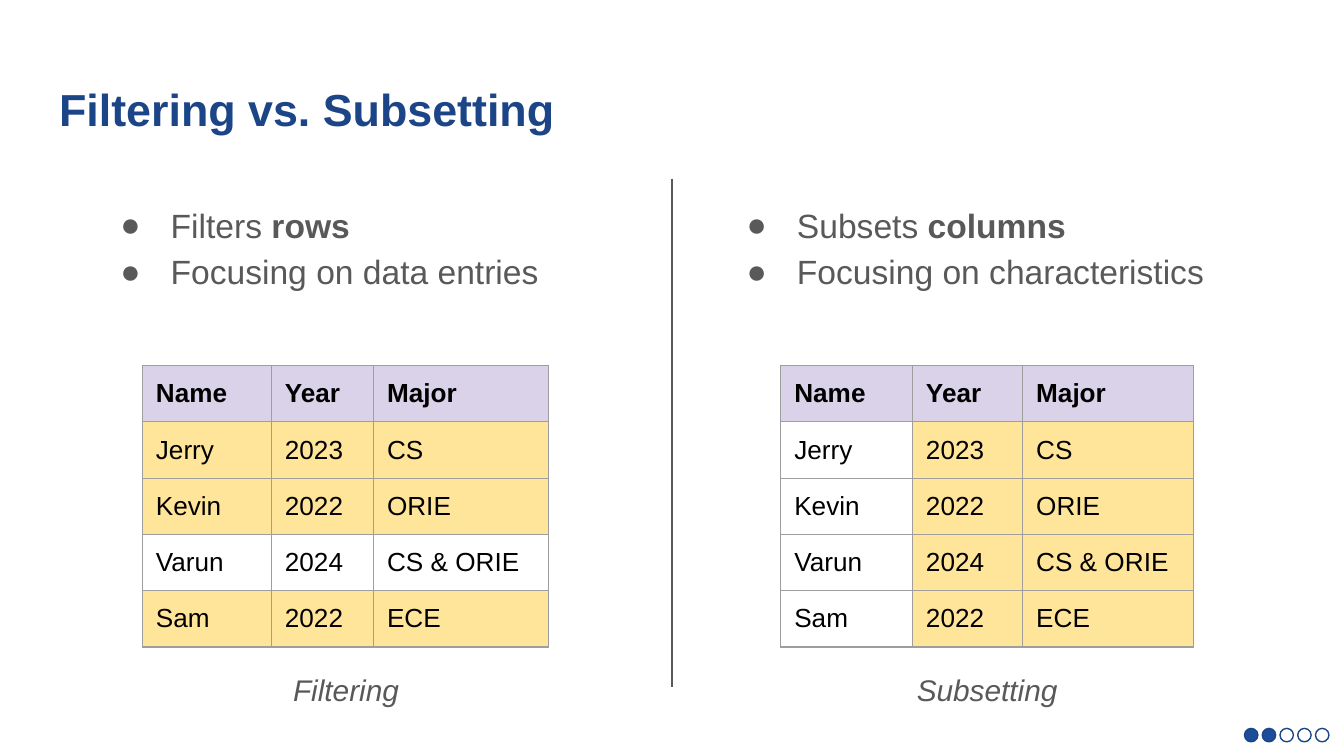
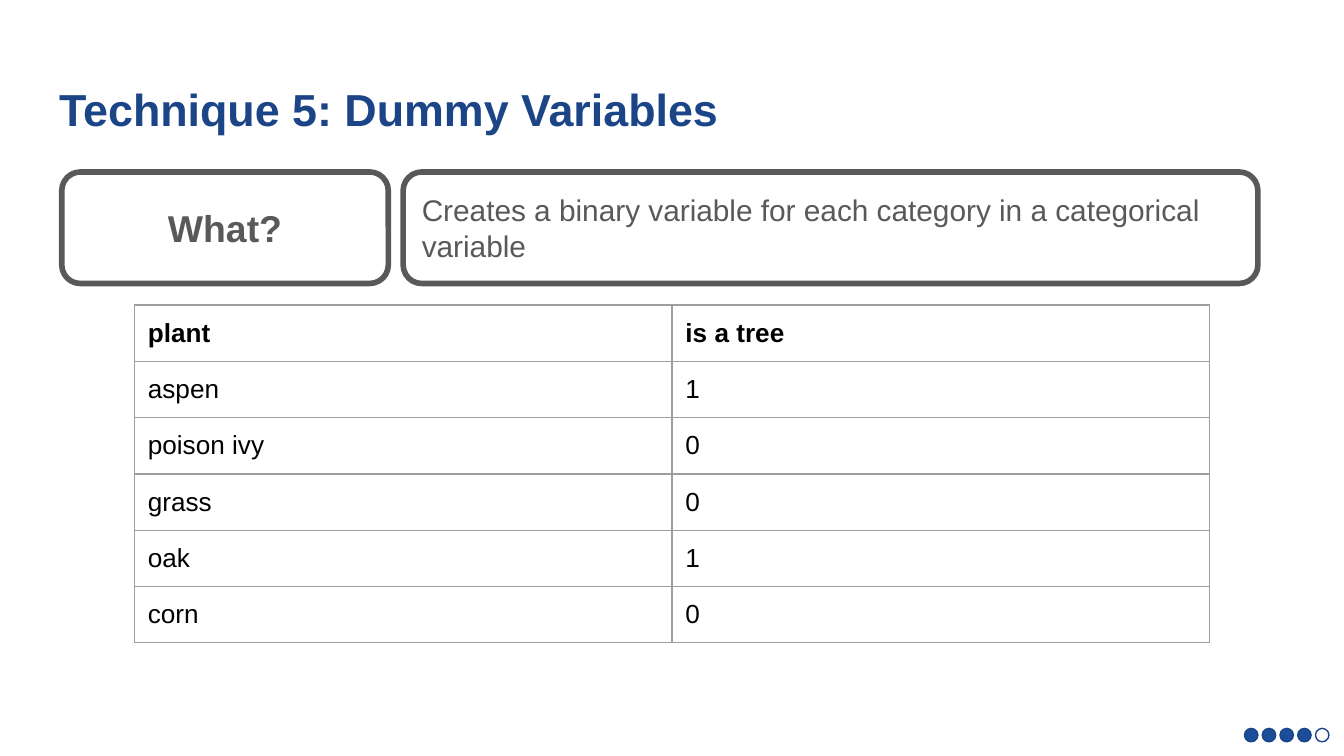
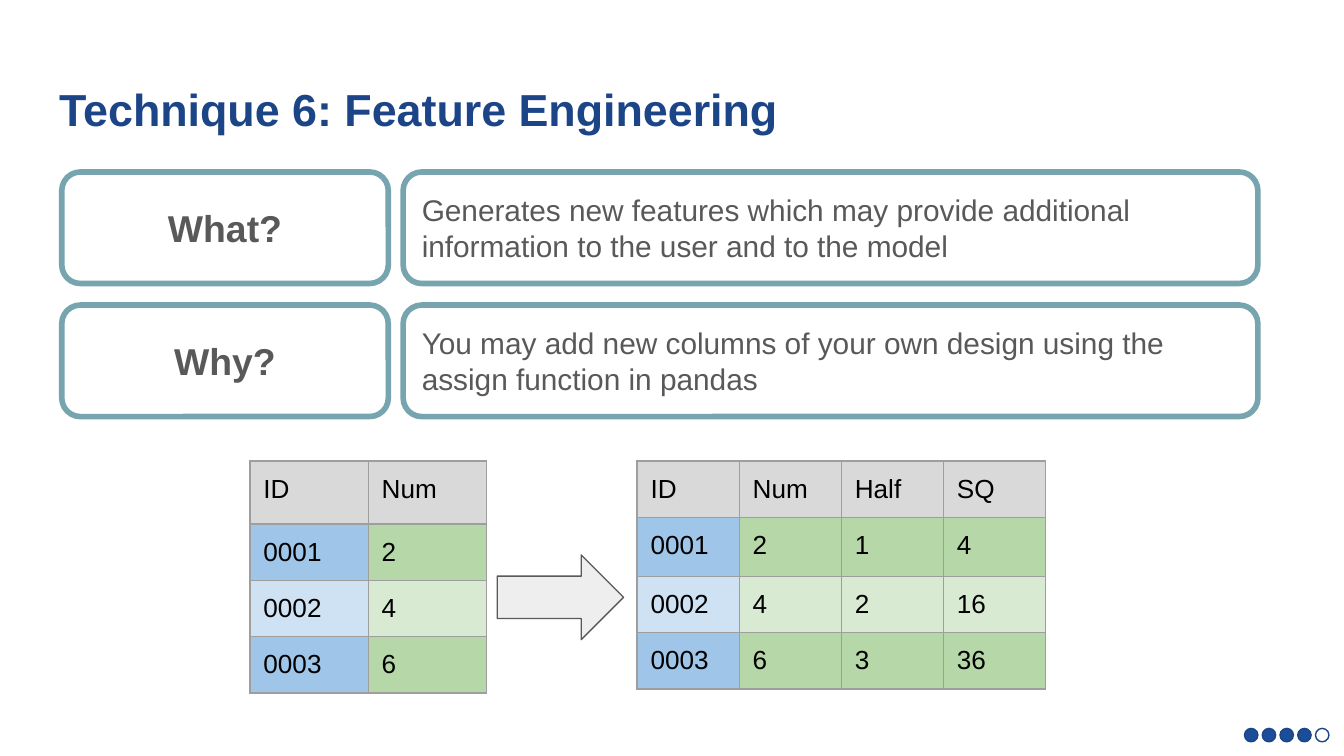
from dataclasses import dataclass
from typing import Any, Callable, NamedTuple, Optional

import pptx
import pptx.dml.color
import pptx.enum.shapes
import pptx.enum.text
import pptx.oxml
import pptx.oxml.ns
import pptx.util

COLORS = {
    "title": "1C4587", "text": "595959", "cell": "000000", "border": "9E9E9E",
    "dot": "1C4D99", "dot_line": "1A4587", "teal": "76A5AF", "arrow": "EEEEEE",
    "lilac": "D9D2E9", "yellow": "FFE599", "white": "FFFFFF", "gray": "D9D9D9",
    "blue": "9FC5E8", "pale_blue": "CFE2F3", "green": "B6D7A8", "pale_green": "D9EAD3",
}
FONT = "Arial"
WIDTH, HEIGHT = pptx.util.Inches(10), pptx.util.Inches(5.625)
COLUMNS, ROWS = 100, 56.25
TITLE_ONLY, TWO_CONTENT = 5, 3
DOT_COUNT, DOT_PITCH = 5, 1.32

SHAPES = pptx.enum.shapes.MSO_SHAPE
ALIGN = pptx.enum.text.PP_ALIGN
ANCHOR = pptx.enum.text.MSO_ANCHOR
TITLE = {"size": pptx.util.Pt(24), "bold": True}
LIST = {"size": pptx.util.Pt(18)}
CAPTION = {"size": pptx.util.Pt(16), "italic": True}
LABEL = {"size": pptx.util.Pt(20), "bold": True}
DETAIL = {"size": pptx.util.Pt(16)}
CELL = {"size": pptx.util.Pt(14)}


class Box(NamedTuple):
    """A place on the slide in grid columns and rows."""
    left: float
    top: float
    width: float
    height: float


class Run(NamedTuple):
    text: str
    bold: bool = False


FillRule = Callable[[int, int], Optional[str]]


@dataclass
class Grid:
    left: float
    top: float
    widths: list[float]
    heights: list[float]
    rows: list[list[str]]
    fill: FillRule
    bold_header: bool = True


@dataclass
class Comparison:
    bullets: list[list[Run]]
    bullets_left: float
    caption: str
    caption_left: float
    grid: Grid


@dataclass
class Card:
    label: str
    detail: str
    top: float


def col(n: float) -> int:
    return round(WIDTH * n / COLUMNS)


def row(n: float) -> int:
    return round(HEIGHT * n / ROWS)


def emu(box: Box) -> tuple[int, int, int, int]:
    return col(box.left), row(box.top), col(box.width), row(box.height)


def rgb(name: str) -> pptx.dml.color.RGBColor:
    return pptx.dml.color.RGBColor.from_string(COLORS[name])


def apply(target: Any, values: dict[str, Any]) -> None:
    for name, value in values.items():
        setattr(target, name, value)


def add_run(p: Any, text: str, style: dict[str, Any], color: str = "text") -> None:
    r = p.add_run()
    r.text = text
    apply(r.font, {"name": FONT, "bold": False, **style})
    r.font.color.rgb = rgb(color)


def frame(tf: Any, anchor: Any = ANCHOR.TOP) -> Any:
    """Set wrapping, margins and anchor, and return the first paragraph."""
    margin = col(1)
    apply(tf, {
        "word_wrap": True, "auto_size": pptx.enum.text.MSO_AUTO_SIZE.NONE,
        "vertical_anchor": anchor, "margin_left": margin, "margin_right": margin,
        "margin_top": margin, "margin_bottom": margin,
    })
    return tf.paragraphs[0]


def place(sp: Any, box: Box) -> None:
    apply(sp, dict(zip(("left", "top", "width", "height"), emu(box))))


def add_shape(slide: Any, kind: Any, box: Box, fill: Optional[str],
              line: str, width: float = 0.75) -> Any:
    sp = slide.shapes.add_shape(kind, *emu(box))
    sp.shadow.inherit = False
    if fill:
        sp.fill.solid()
        sp.fill.fore_color.rgb = rgb(fill)
    else:
        sp.fill.background()
    sp.line.color.rgb = rgb(line)
    sp.line.width = pptx.util.Pt(width)
    return sp


def add_slide(prs: Any, title: str, done: int, layout: int = TITLE_ONLY) -> Any:
    """Add a slide with its title and a row of progress dots, the first ones filled."""
    slide = prs.slides.add_slide(prs.slide_layouts[layout])
    sp = slide.shapes.title
    place(sp, Box(3.4, 4.9, 93.2, 6.3))
    p = frame(sp.text_frame, ANCHOR.MIDDLE)
    p.alignment = ALIGN.LEFT
    add_run(p, title, TITLE, "title")
    for i in range(DOT_COUNT):
        box = Box(92.6 + i * DOT_PITCH, 54.2, 1, 1)
        add_shape(slide, SHAPES.OVAL, box, "dot" if i < done else None, "dot_line")
    return slide


def xml(tag: str, body: str) -> Any:
    return pptx.oxml.parse_xml(f'<a:{tag} {pptx.oxml.ns.nsdecls("a")}{body}')


def fill_list(sp: Any, box: Box, items: list[list[Run]]) -> None:
    place(sp, box)
    p = frame(sp.text_frame)
    for i, runs in enumerate(items):
        if i:
            p = sp.text_frame.add_paragraph()
        pPr = p._p.get_or_add_pPr()
        pPr.set("marL", str(col(5)))
        pPr.set("indent", str(-col(3.75)))
        pPr.append(xml("buClr", f'><a:srgbClr val="{COLORS["text"]}"/></a:buClr>'))
        pPr.append(xml("buFont", f' typeface="{FONT}"/>'))
        pPr.append(xml("buChar", ' char="●"/>'))
        apply(p, {"line_spacing": 1.15, "space_before": pptx.util.Pt(0)})
        for run in runs:
            add_run(p, run.text, {**LIST, "bold": run.bold})


def add_borders(cell: Any) -> None:
    tcPr = cell._tc.get_or_add_tcPr()
    for side in "LRTB":
        tcPr.append(xml(f"ln{side}", f' w="{pptx.util.Pt(0.75)}"><a:solidFill>'
                        f'<a:srgbClr val="{COLORS["border"]}"/></a:solidFill></a:ln{side}>'))


def add_grid(slide: Any, grid: Grid) -> None:
    box = Box(grid.left, grid.top, sum(grid.widths), sum(grid.heights))
    table = slide.shapes.add_table(len(grid.heights), len(grid.widths), *emu(box)).table
    apply(table, {"first_row": False, "horz_banding": False})
    for column, width in zip(table.columns, grid.widths):
        column.width = col(width)
    for line, height in zip(table.rows, grid.heights):
        line.height = row(height)
    margin = col(1)
    for r, texts in enumerate(grid.rows):
        for c, text in enumerate(texts):
            cell = table.cell(r, c)
            apply(cell, {f"margin_{side}": margin for side in ("left", "right", "top", "bottom")})
            style = {**CELL, "bold": grid.bold_header and r == 0}
            add_run(cell.text_frame.paragraphs[0], text, style, "cell")
            add_borders(cell)
            fill = grid.fill(r, c)
            if fill:
                cell.fill.solid()
                cell.fill.fore_color.rgb = rgb(fill)
            else:
                cell.fill.background()


def add_card(slide: Any, card: Card, line: str) -> None:
    for text, left, width, style, align in (
        (card.label, 4.6, 24.3, LABEL, ALIGN.CENTER),
        (card.detail, 30, 63.6, DETAIL, ALIGN.LEFT),
    ):
        sp = add_shape(slide, SHAPES.ROUNDED_RECTANGLE, Box(left, card.top, width, 8.3),
                       None, line, 3)
        p = frame(sp.text_frame, ANCHOR.MIDDLE)
        p.alignment = align
        add_run(p, text, style)


def add_caption(slide: Any, text: str, left: float) -> None:
    sp = slide.shapes.add_textbox(*emu(Box(left, 49, 36.5, 3.4)))
    p = frame(sp.text_frame)
    p.alignment = ALIGN.CENTER
    add_run(p, text, CAPTION)


def add_divider(slide: Any) -> None:
    line = slide.shapes.add_connector(pptx.enum.shapes.MSO_CONNECTOR.STRAIGHT,
                                      col(50), row(13.3), col(50), row(51.1))
    line.line.color.rgb = rgb("text")
    line.line.width = pptx.util.Pt(0.75)
    line._element.spPr.append(xml("effectLst", "/>"))


def filtered(r: int, c: int) -> str:
    return "lilac" if r == 0 else "white" if r == 3 else "yellow"


def subsetted(r: int, c: int) -> str:
    return "lilac" if r == 0 else "white" if c == 0 else "yellow"


def unfilled(r: int, c: int) -> None:
    return None


def striped(r: int, c: int) -> str:
    if r == 0:
        return "gray"
    return ("pale_" if r == 2 else "") + ("blue" if c == 0 else "green")


STUDENTS = [
    ["Name", "Year", "Major"],
    ["Jerry", "2023", "CS"],
    ["Kevin", "2022", "ORIE"],
    ["Varun", "2024", "CS & ORIE"],
    ["Sam", "2022", "ECE"],
]
PLANTS = [
    ["plant", "is a tree"],
    ["aspen", "1"],
    ["poison ivy", "0"],
    ["grass", "0"],
    ["oak", "1"],
    ["corn", "0"],
]
FEATURES = [
    ["ID", "Num", "Half", "SQ"],
    ["0001", "2", "1", "4"],
    ["0002", "4", "2", "16"],
    ["0003", "6", "3", "36"],
]
COMPARISONS = [
    Comparison(
        [[Run("Filters "), Run("rows", True)], [Run("Focusing on data entries")]],
        6.7, "Filtering", 7.5,
        Grid(10.6, 27.2, [9.6, 7.6, 13], [4.1] * 5, STUDENTS, filtered)),
    Comparison(
        [[Run("Subsets "), Run("columns", True)], [Run("Focusing on characteristics")]],
        53.3, "Subsetting", 55.2,
        Grid(58.1, 27.2, [9.8, 8.2, 12.7], [4.1] * 5, STUDENTS, subsetted)),
]
FEATURE_CARDS = [
    Card("What?", "Generates new features which may provide additional "
         "information to the user and to the model", 12.8),
    Card("Why?", "You may add new columns of your own design using the "
         "assign function in pandas", 22.7),
]


def build_comparison(prs: Any) -> None:
    slide = add_slide(prs, "Filtering vs. Subsetting", 2, TWO_CONTENT)
    add_divider(slide)
    for idx, side in enumerate(COMPARISONS, start=1):
        fill_list(slide.placeholders[idx], Box(side.bullets_left, 13.8, 40.3, 9.9), side.bullets)
        add_grid(slide, side.grid)
        add_caption(slide, side.caption, side.caption_left)


def build_dummy_variables(prs: Any) -> None:
    slide = add_slide(prs, "Technique 5: Dummy Variables", 4)
    add_grid(slide, Grid(10, 22.7, [40, 40], [4] * 6, PLANTS, unfilled))
    add_card(slide, Card("What?", "Creates a binary variable for each category "
                         "in a categorical variable", 12.8), "text")


def build_feature_engineering(prs: Any) -> None:
    slide = add_slide(prs, "Technique 6: Feature Engineering", 4)
    for card in FEATURE_CARDS:
        add_card(slide, card, "teal")
    before = [texts[:2] for texts in FEATURES]
    add_grid(slide, Grid(18.6, 34.3, [8.8] * 2, [4.7, 3.5, 3.8, 4.1], before, striped, False))
    add_shape(slide, SHAPES.RIGHT_ARROW, Box(37, 41.3, 9.4, 6.3), "arrow", "text")
    add_grid(slide, Grid(47.4, 34.3, [7.6] * 4, [3.8, 4.4, 3.8, 3.9], FEATURES, striped, False))


def main() -> None:
    prs = pptx.Presentation()
    apply(prs, {"slide_width": WIDTH, "slide_height": HEIGHT})
    build_comparison(prs)
    build_dummy_variables(prs)
    build_feature_engineering(prs)
    prs.save("out.pptx")


if __name__ == "__main__":
    main()
